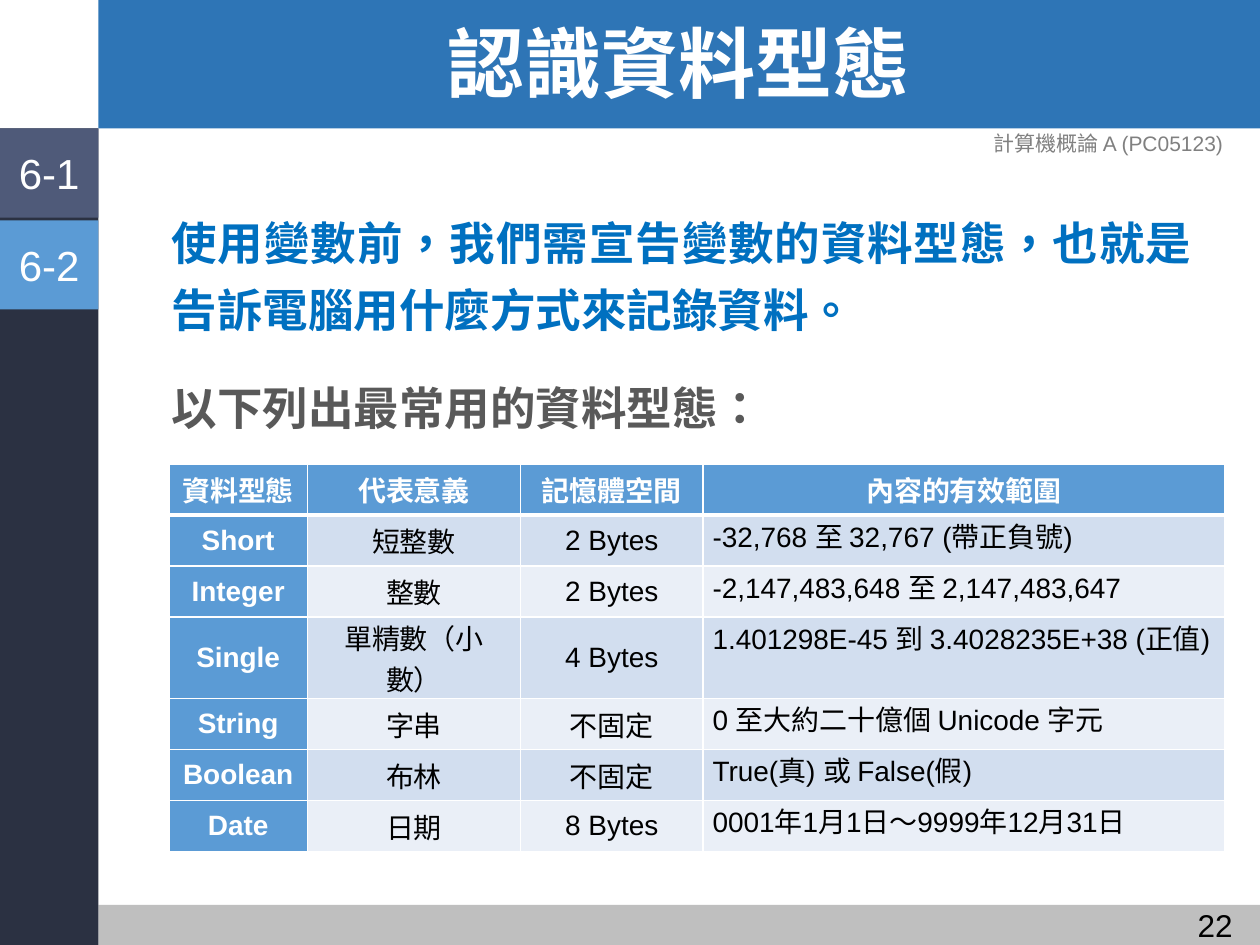
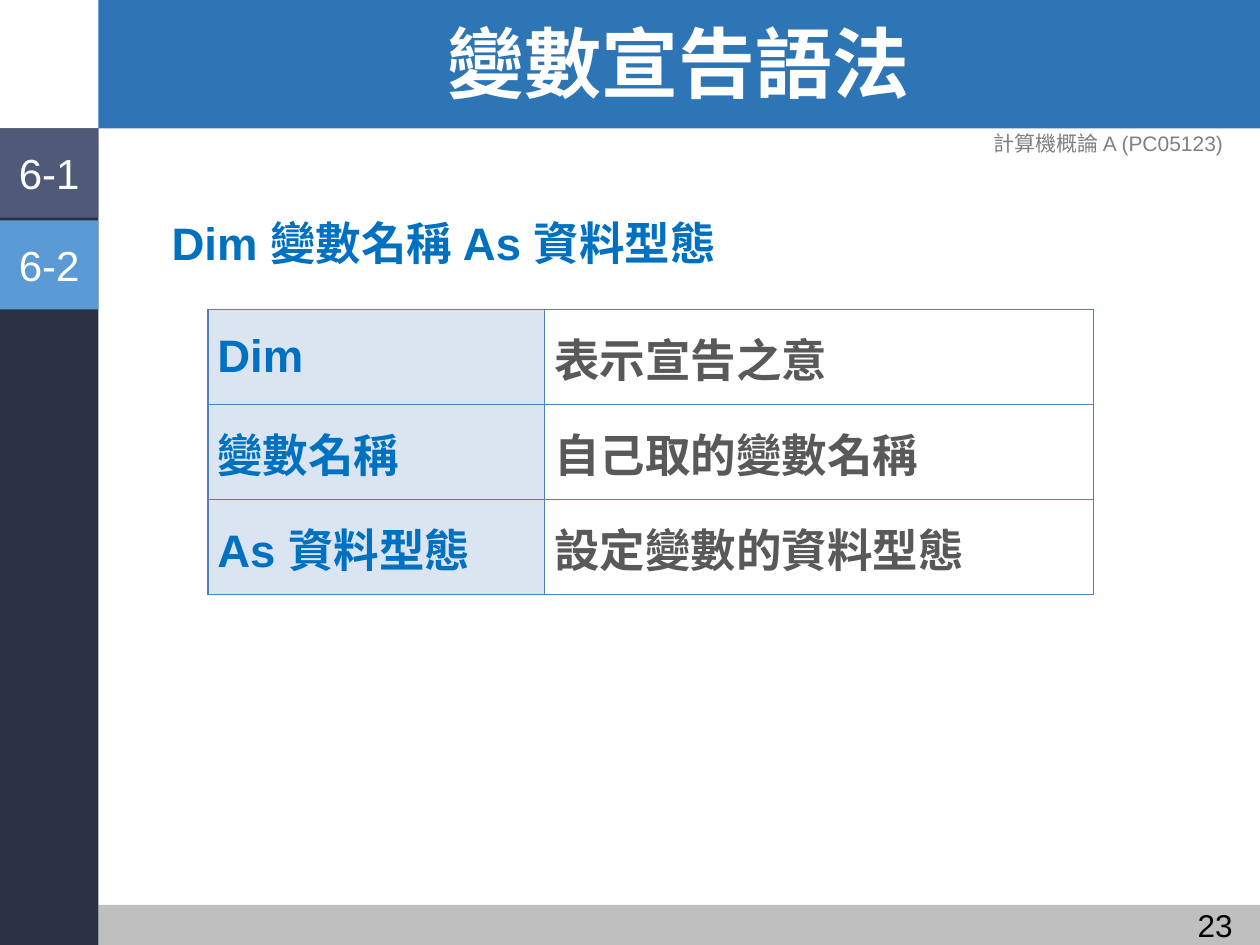
import pptx
import pptx.dml.color
import pptx.enum.shapes
import pptx.enum.text
import pptx.oxml
import pptx.oxml.ns
import pptx.util

Pt = pptx.util.Pt
RGBColor = pptx.dml.color.RGBColor
ALIGN = pptx.enum.text.PP_ALIGN
ANCHOR = pptx.enum.text.MSO_ANCHOR

WHITE = RGBColor(0xFF, 0xFF, 0xFF)
BLACK = RGBColor(0x00, 0x00, 0x00)
BANNER_BLUE = RGBColor(0x2E, 0x75, 0xB6)
FOOTER_GREY = RGBColor(0xBF, 0xBF, 0xBF)
SIDEBAR_NAVY = RGBColor(0x2B, 0x31, 0x42)
TAB_SLATE = RGBColor(0x4F, 0x5A, 0x79)
ACCENT_BLUE = RGBColor(0x5B, 0x9B, 0xD5)
KEY_BLUE = RGBColor(0x00, 0x70, 0xC0)
TEXT_GREY = RGBColor(0x59, 0x59, 0x59)
COURSE_GREY = RGBColor(0x80, 0x80, 0x80)
ROW_BANDS = (RGBColor(0xD2, 0xDE, 0xEF), RGBColor(0xEA, 0xEF, 0xF7))
TERM_FILL = RGBColor(0xDB, 0xE5, 0xF1)
GRID_BLUE = RGBColor(0x4F, 0x81, 0xBD)

LATIN_FONT = "Arial"
TITLE_FONT = "Montserrat"
CJK_FONT = "Noto Sans CJK SC"
LANGUAGE = "zh-TW"

SLIDE_WIDTH, SLIDE_HEIGHT = 720, 540
SIDEBAR_WIDTH, BANNER_HEIGHT = 56.2, 73.4
MAIN_WIDTH = SLIDE_WIDTH - SIDEBAR_WIDTH
FOOTER_TOP = 517
TAB_HEIGHT, TAB_PITCH = 51, 52.5

COURSE = "計算機概論 A (PC05123)"
TABS = (("6-1", TAB_SLATE), ("6-2", ACCENT_BLUE))
DATA_TYPES = (
    ("資料型態", "代表意義", "記憶體空間", "內容的有效範圍"),
    ("Short", "短整數", "2 Bytes", "-32,768 至 32,767 (帶正負號)"),
    ("Integer", "整數", "2 Bytes", "-2,147,483,648 至 2,147,483,647"),
    ("Single", "單精數（小數）", "4 Bytes", "1.401298E-45 到 3.4028235E+38 (正值)"),
    ("String", "字串", "不固定", "0 至大約二十億個 Unicode 字元"),
    ("Boolean", "布林", "不固定", "True(真) 或 False(假)"),
    ("Date", "日期", "8 Bytes", "0001年1月1日～9999年12月31日"),
)
ONE_LINE_ROW, TWO_LINE_ROW = 29.2, 46.5
SYNTAX_TERMS = (
    ("Dim", "表示宣告之意"),
    ("變數名稱", "自己取的變數名稱"),
    ("As 資料型態", "設定變數的資料型態"),
)


def points(*lengths):
    return [Pt(length) for length in lengths]


def add_run(paragraph, text, size, color, bold=False, font=LATIN_FONT):
    run = paragraph.add_run()
    run.text = text
    run.font.size = Pt(size)
    run.font.bold = bold
    run.font.color.rgb = color
    run.font.name = font
    properties = run.font._element
    properties.set("lang", LANGUAGE)
    properties.append(pptx.oxml.parse_xml(
        f'<a:ea {pptx.oxml.ns.nsdecls("a")} typeface="{CJK_FONT}"/>'))


def add_rectangle(slide, box, color):
    shape = slide.shapes.add_shape(
        pptx.enum.shapes.MSO_SHAPE.RECTANGLE, *points(*box))
    shape.shadow.inherit = False
    shape.fill.solid()
    shape.fill.fore_color.rgb = color
    shape.line.fill.background()
    return shape


def add_text_frame(slide, box, anchor=ANCHOR.TOP):
    frame = slide.shapes.add_textbox(*points(*box)).text_frame
    frame.word_wrap = True
    frame.vertical_anchor = anchor
    return frame


def add_bands(slide):
    add_rectangle(slide, (SIDEBAR_WIDTH, 0, MAIN_WIDTH, BANNER_HEIGHT), BANNER_BLUE)
    add_rectangle(slide, (SIDEBAR_WIDTH, FOOTER_TOP, MAIN_WIDTH,
                          SLIDE_HEIGHT - FOOTER_TOP), FOOTER_GREY)
    add_rectangle(slide, (0, BANNER_HEIGHT, SIDEBAR_WIDTH,
                          SLIDE_HEIGHT - BANNER_HEIGHT), SIDEBAR_NAVY)


def place_title(slide, text, box):
    title = slide.shapes.title
    title.left, title.top, title.width, title.height = points(*box)
    title.element.getparent().append(title.element)  # in front of the banner
    title.text_frame.vertical_anchor = ANCHOR.MIDDLE
    paragraph = title.text_frame.paragraphs[0]
    paragraph.alignment = ALIGN.CENTER
    paragraph.line_spacing = 0.9
    add_run(paragraph, text, 44, WHITE, True, TITLE_FONT)


def add_section_tabs(slide, left, top):
    for index, (label, color) in enumerate(TABS):
        tab = add_rectangle(
            slide, (left, top + index * TAB_PITCH, SIDEBAR_WIDTH, TAB_HEIGHT), color)
        frame = tab.text_frame
        frame.word_wrap = False
        frame.vertical_anchor = ANCHOR.MIDDLE
        frame.margin_left = frame.margin_right = Pt(3)
        frame.margin_top = frame.margin_bottom = Pt(3)
        frame.paragraphs[0].alignment = ALIGN.CENTER
        add_run(frame.paragraphs[0], label, 24, WHITE)


def add_page_labels(slide, number):
    page = add_text_frame(slide, (635, 514, 76.4, 29)).paragraphs[0]
    page.alignment = ALIGN.RIGHT
    add_run(page, str(number), 18, BLACK)
    course = add_text_frame(slide, (546.5, 67, 173.5, 29), ANCHOR.MIDDLE).paragraphs[0]
    course.alignment = ALIGN.CENTER
    add_run(course, COURSE, 12, COURSE_GREY)


def add_body(slide, box, lines):
    """Lines are (text, color, font) triples, one paragraph each."""
    frame = add_text_frame(slide, box)
    for index, (text, color, font) in enumerate(lines):
        paragraph = frame.add_paragraph() if index else frame.paragraphs[0]
        paragraph.alignment = ALIGN.JUSTIFY
        paragraph.line_spacing = Pt(38)
        paragraph.space_before = Pt(18 if index else 0)
        add_run(paragraph, text, 26, color, True, font)


def set_borders(cell, color, top=1, bottom=1):
    properties = cell._tc.get_or_add_tcPr()
    sides = (("lnL", 1), ("lnR", 1), ("lnT", top), ("lnB", bottom))
    for index, (side, width) in enumerate(sides):
        properties.insert(index, pptx.oxml.parse_xml(
            f'<a:{side} {pptx.oxml.ns.nsdecls("a")} w="{Pt(width)}">'
            f'<a:solidFill><a:srgbClr val="{color}"/></a:solidFill></a:{side}>'))


def add_grid(slide, left, top, column_widths, row_heights):
    table = slide.shapes.add_table(
        len(row_heights), len(column_widths),
        *points(left, top, sum(column_widths), sum(row_heights))).table
    table.first_row = table.horz_banding = False
    for column, width in zip(table.columns, column_widths):
        column.width = Pt(width)
    for row, height in zip(table.rows, row_heights):
        row.height = Pt(height)
    return table


def fill_cell(cell, text, size, color, bold, fill, align=ALIGN.LEFT,
              anchor=ANCHOR.MIDDLE):
    cell.margin_left = cell.margin_right = Pt(5.4)
    cell.margin_top = cell.margin_bottom = 0
    cell.vertical_anchor = anchor
    if fill is None:
        cell.fill.background()
    else:
        cell.fill.solid()
        cell.fill.fore_color.rgb = fill
    paragraph = cell.text_frame.paragraphs[0]
    paragraph.alignment = align
    add_run(paragraph, text, size, color, bold)


def add_data_type_table(slide, left, top):
    row_heights = [TWO_LINE_ROW if texts[0] == "Single" else ONE_LINE_ROW
                   for texts in DATA_TYPES]
    table = add_grid(slide, left, top, (79.2, 121.7, 104.4, 298.1), row_heights)
    for row, texts in enumerate(DATA_TYPES):
        for column, text in enumerate(texts):
            heading = row == 0 or column == 0
            is_range = row > 0 and column == 3
            cell = table.cell(row, column)
            fill_cell(cell, text, 16, WHITE if heading else BLACK, heading,
                      ACCENT_BLUE if heading else ROW_BANDS[(row - 1) % 2],
                      ALIGN.LEFT if is_range else ALIGN.CENTER,
                      ANCHOR.TOP if is_range else ANCHOR.MIDDLE)
            set_borders(cell, WHITE, top=3 if row == 1 else 1,
                        bottom=3 if row == 0 else 1)


def add_syntax_table(slide, left, top):
    table = add_grid(slide, left, top, (192.5, 313.5), [54.3] * len(SYNTAX_TERMS))
    styles = ((KEY_BLUE, TERM_FILL), (TEXT_GREY, None))
    for row, texts in enumerate(SYNTAX_TERMS):
        for column, (text, (color, fill)) in enumerate(zip(texts, styles)):
            cell = table.cell(row, column)
            fill_cell(cell, text, 26, color, True, fill)
            set_borders(cell, GRID_BLUE)


def add_lesson_slide(presentation, number, title, lines):
    slide = presentation.slides.add_slide(
        presentation.slide_layouts.get_by_name("Title Only"))
    add_bands(slide)
    place_title(slide, title, (SIDEBAR_WIDTH, 2, MAIN_WIDTH, BANNER_HEIGHT))
    add_body(slide, (91, 112.5, 597.5, 387), lines)
    add_page_labels(slide, number)
    add_section_tabs(slide, 0, BANNER_HEIGHT)
    return slide


def main():
    presentation = pptx.Presentation()
    presentation.slide_width, presentation.slide_height = points(
        SLIDE_WIDTH, SLIDE_HEIGHT)

    types_slide = add_lesson_slide(presentation, 22, "認識資料型態", (
        ("使用變數前，我們需宣告變數的資料型態，也就是告訴電腦用什麼方式來記錄資料。",
         KEY_BLUE, LATIN_FONT),
        ("以下列出最常用的資料型態：", TEXT_GREY, CJK_FONT),
    ))
    add_data_type_table(types_slide, 96.5, 265)

    syntax_slide = add_lesson_slide(presentation, 23, "變數宣告語法", (
        ("Dim 變數名稱 As 資料型態", KEY_BLUE, LATIN_FONT),
    ))
    add_syntax_table(syntax_slide, 118.8, 177)

    presentation.save("out.pptx")


if __name__ == "__main__":
    main()
